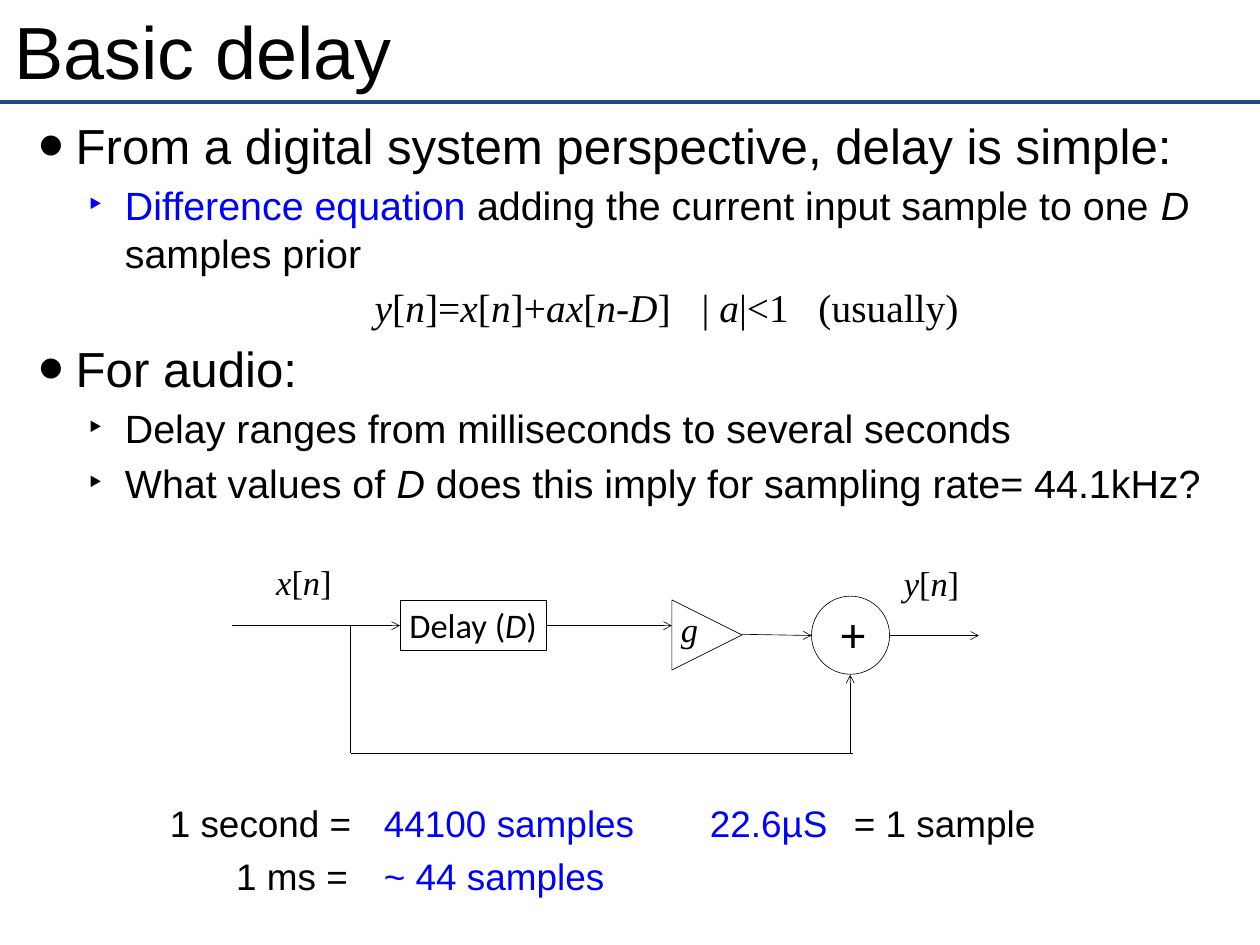
from lxml.etree import SubElement
from pptx import Presentation
from pptx.dml.color import RGBColor
from pptx.enum.shapes import MSO_CONNECTOR, MSO_SHAPE
from pptx.enum.text import MSO_ANCHOR as ANCHOR, MSO_AUTO_SIZE as AUTOSIZE, PP_ALIGN as ALIGN
from pptx.oxml.ns import qn
from pptx.util import Pt

BLACK = RGBColor(0, 0, 0)
BLUE = RGBColor(0, 0, 255)
RULE_BLUE = RGBColor(0x25, 0x47, 0x89)
SANS, SERIF, LABEL = "Arial", "Times New Roman", "Calibri"


def add_text(para, text, size=32, font=SANS, color=BLACK, spacing=0):
    """Add runs to a paragraph; text between asterisks is italic."""
    for number, part in enumerate(text.split("*")):
        if part:
            span = para.add_run()
            span.text = part
            span.font.size = Pt(size)
            span.font.name = font
            span.font.italic = number % 2 == 1
            span.font.color.rgb = color
            if spacing:
                span.font._element.set("spc", str(spacing * 100))


def add_line(start, end, color=BLACK, width=0.5, arrow=False):
    line = slide.shapes.add_connector(
        MSO_CONNECTOR.STRAIGHT, *[Pt(value) for value in (*start, *end)])
    line.line.color.rgb = color
    line.line.width = Pt(width)
    if arrow:
        SubElement(line.line._get_or_add_ln(), qn("a:tailEnd"), type="arrow")
    SubElement(line._element.spPr, qn("a:effectLst"))


deck = Presentation()
deck.slide_width, deck.slide_height = Pt(1024), Pt(768)
slide = deck.slides.add_slide(deck.slide_layouts[1])

# Title and body placeholders
title, body = slide.placeholders
for holder, top, height, anchor in ((title, 4.5, 72.5, ANCHOR.MIDDLE),
                                    (body, 89.5, 673, ANCHOR.TOP)):
    holder.left, holder.top = Pt(7.5), Pt(top)
    holder.width, holder.height = Pt(1008.5), Pt(height)
    frame = holder.text_frame
    frame.margin_left = frame.margin_right = Pt(4)
    frame.margin_top = frame.margin_bottom = Pt(4)
    frame.vertical_anchor = anchor
    frame.word_wrap = True
    frame.auto_size = AUTOSIZE.NONE
title.text_frame.paragraphs[0].alignment = ALIGN.LEFT
add_text(title.text_frame.paragraphs[0], "Basic delay", size=60)
add_line((0, 83), (1024, 83), color=RULE_BLUE, width=3)

# Body list: level, bullet, spans with their format
equation = {"font": SERIF}
items = [
    (0, "•", [("From a digital system perspective, delay is simple:", {"size": 40})]),
    (1, "‣", [("Difference equation", {"color": BLUE}),
              (" adding the current input sample to one *D* samples prior", {})]),
    (1, None, [("*y*[*n*]=*x*[*n*]+*ax*[*n*-*D*]", equation),
               (" ", {"font": SERIF, "spacing": 17}),
               ("| *a*|<1", equation),
               (" ", {"font": SERIF, "spacing": 16}),
               ("(usually)", equation)]),
    (0, "•", [("For audio:", {"size": 40})]),
    (1, "‣", [("Delay ranges from milliseconds to several seconds", {})]),
    (1, "‣", [("What values of *D* does this imply for sampling rate= 44.1kHz?", {})]),
]
frame = body.text_frame
for number, (level, bullet, spans) in enumerate(items):
    para = frame.add_paragraph() if number else frame.paragraphs[0]
    para.level = level
    para.space_before = Pt(6)
    para.alignment = ALIGN.LEFT if bullet else ALIGN.CENTER
    props = para._p.get_or_add_pPr()
    props.set("marL", str(Pt(50 + 40 * level)))
    props.set("indent", str(Pt(-30)))
    if bullet:
        SubElement(props, qn("a:buSzPct"), val="100000" if level else "150000")
        SubElement(props, qn("a:buFont"), typeface=SANS)
        SubElement(props, qn("a:buChar"), char=bullet)
    else:
        SubElement(props, qn("a:buNone"))
    for text, style in spans:
        add_text(para, text, **style)

# Delay box, gain triangle and adder circle
for kind, left, top, width, height, turn in (
        (MSO_SHAPE.RECTANGLE, 325, 487.5, 119, 41, 0),
        (MSO_SHAPE.ISOSCELES_TRIANGLE, 546, 487.5, 57, 57, 90),
        (MSO_SHAPE.OVAL, 659.5, 484.5, 63.5, 63.5, 0)):
    block = slide.shapes.add_shape(kind, Pt(left), Pt(top), Pt(width), Pt(height))
    block.rotation = turn
    block.fill.background()
    block.line.color.rgb = BLACK
    block.line.width = Pt(0.5)
    block.shadow.inherit = False

# Signal paths
for start, end, arrow in (
        ((188.5, 508.5), (325, 508.5), True),
        ((444, 508.5), (546, 508.5), True),
        ((603, 515.5), (659.5, 516.5), True),
        ((723, 516.5), (795.5, 516.5), True),
        ((285, 508.5), (285, 612), False),
        ((285, 612), (693, 612), False),
        ((691, 612), (691, 548.5), True)):
    add_line(start, end, arrow=arrow)

# Diagram labels and worked answers
math_label = {"size": 28, "font": SERIF}
known = {"size": 30}
answer = {"size": 30, "color": BLUE}
for text, left, top, width, align, style in (
        ("*x*[*n*]", 217, 452, 60, ALIGN.CENTER, math_label),
        ("*y*[*n*]", 727, 453.5, 60, ALIGN.CENTER, math_label),
        ("*g*", 546, 490.5, 28.5, ALIGN.CENTER, math_label),
        ("Delay (*D*)", 325, 487.5, 119, ALIGN.CENTER, {"size": 28, "font": LABEL}),
        ("+", 676, 494, 34.5, ALIGN.CENTER, {"size": 40, "font": LABEL}),
        ("1 second =", 138, 648, 165, ALIGN.LEFT, known),
        ("1 ms =", 192, 691, 108, ALIGN.LEFT, known),
        ("44100 samples", 312, 648, 212, ALIGN.LEFT, answer),
        ("~ 44 samples", 312, 691, 188, ALIGN.LEFT, answer),
        ("22.6µS", 577, 648, 108, ALIGN.LEFT, answer),
        ("= 1 sample", 694, 648, 156, ALIGN.LEFT, known)):
    box = slide.shapes.add_textbox(Pt(left), Pt(top), Pt(width), Pt(41))
    frame = box.text_frame
    frame.margin_left = frame.margin_right = 0
    frame.margin_top = frame.margin_bottom = 0
    frame.vertical_anchor = ANCHOR.MIDDLE
    frame.word_wrap = True
    para = frame.paragraphs[0]
    para.alignment = align
    para.space_before = Pt(6 if align == ALIGN.LEFT else 0)
    add_text(para, text, **style)

deck.save("out.pptx")
